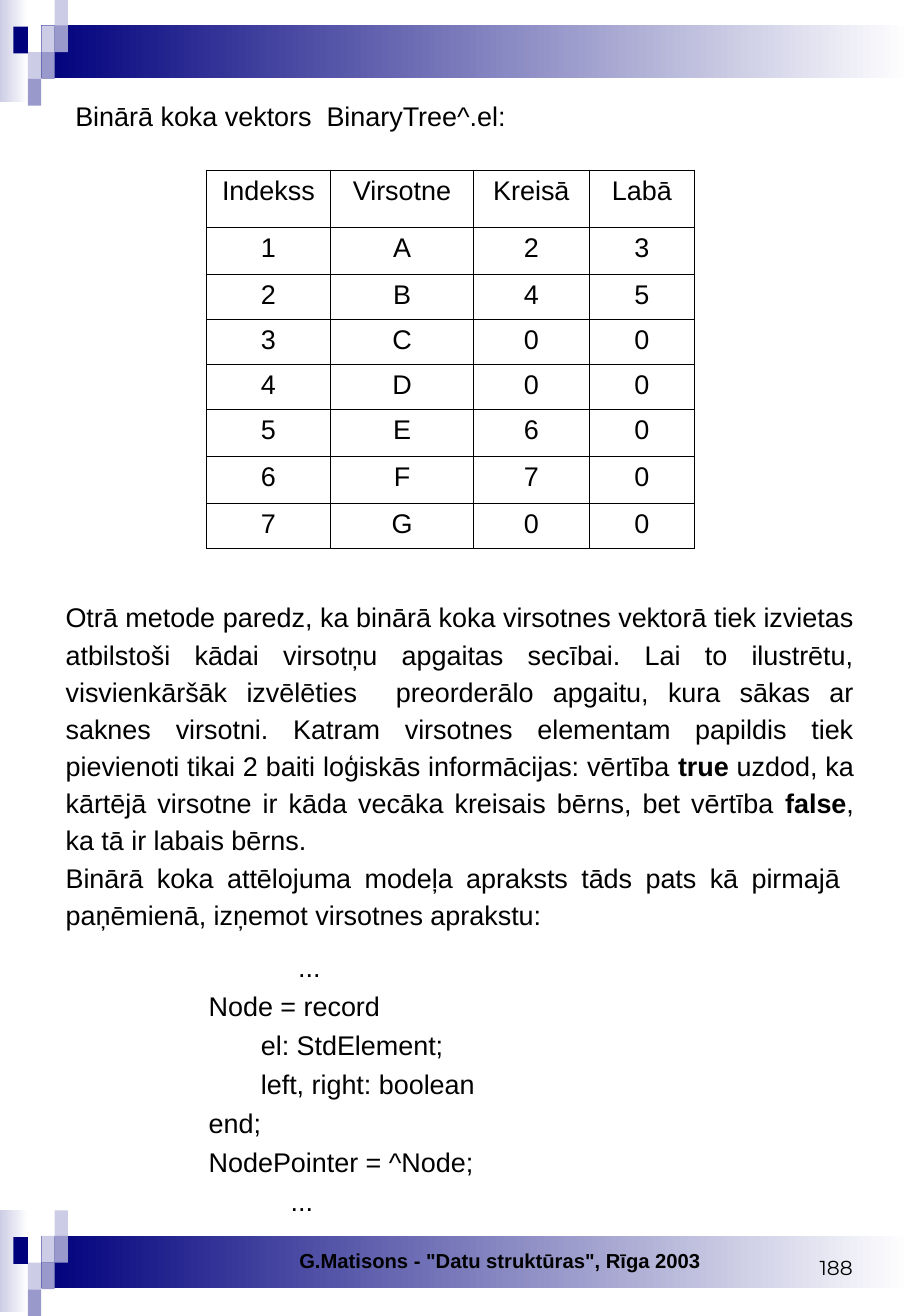
import pptx
import pptx.dml.color
import pptx.enum.shapes
import pptx.enum.text
import pptx.oxml
import pptx.oxml.ns
import pptx.util
from lxml import etree

Inches, Pt = pptx.util.Inches, pptx.util.Pt
RGBColor = pptx.dml.color.RGBColor
ALIGN = pptx.enum.text.PP_ALIGN
ANCHOR = pptx.enum.text.MSO_ANCHOR
qn = pptx.oxml.ns.qn

BLACK = RGBColor(0x00, 0x00, 0x00)
WHITE = RGBColor(0xFF, 0xFF, 0xFF)
NAVY = RGBColor(0x00, 0x00, 0x7D)
LILAC = RGBColor(0x99, 0x99, 0xCC)
PALE = RGBColor(0xCC, 0xCC, 0xE6)

HEADING = "Binārā koka vektors  BinaryTree^.el:"
METHOD = [
    [("Otrā metode paredz, ka binārā koka virsotnes vektorā tiek izvietas atbilstoši "
      "kādai virsotņu apgaitas secībai. Lai to ilustrētu, visvienkāršāk izvēlēties  "
      "preorderālo apgaitu, kura sākas ar saknes virsotni. Katram virsotnes elementam "
      "papildis tiek pievienoti tikai 2 baiti loģiskās informācijas: vērtība ", False),
     ("true", True),
     (" uzdod, ka kārtējā virsotne ir kāda vecāka kreisais bērns, bet vērtība ", False),
     ("false", True),
     (", ka tā ir labais bērns.", False)],
    "Binārā koka attēlojuma modeļa apraksts tāds pats kā pirmajā  paņēmienā, "
    "izņemot virsotnes aprakstu:",
]
CODE = [
    "            ...",
    "Node = record",
    "       el: StdElement;",
    "       left, right: boolean",
    "end;",
    "NodePointer = ^Node;",
    "           ...",
]
TREE = [("Indekss", "Virsotne", "Kreisā", "Labā"),
        (1, "A", 2, 3), (2, "B", 4, 5), (3, "C", 0, 0), (4, "D", 0, 0),
        (5, "E", 6, 0), (6, "F", 7, 0), (7, "G", 0, 0)]
COLUMNS = [1.02, 1.18, 0.95, 0.87]
ROWS = [0.47, 0.39, 0.37, 0.37, 0.37, 0.39, 0.39, 0.37]

# Left, top, width, height, colour; a wide bar fades to white
BAND = [(0, 0, 0.23, 0.84, PALE, True), (0.34, 0.21, 7.16, 0.43, NAVY, True),
        (0.34, 0.21, 0.11, 0.22, PALE, False), (0.45, 0, 0.11, 0.22, PALE, False),
        (0.45, 0.21, 0.11, 0.22, LILAC, False), (0.23, 0.43, 0.11, 0.22, PALE, False),
        (0.11, 0.22, 0.12, 0.22, NAVY, False), (0.34, 0.43, 0.11, 0.22, LILAC, False),
        (0.23, 0.65, 0.11, 0.22, LILAC, False)]


def write(tf, paragraphs, size=16, font="Arial", bold=False, align=ALIGN.LEFT,
          gap=0, spacing=None, anchor=ANCHOR.TOP):
    """Fill a text frame; a paragraph is a string or a list of (text, bold)."""
    tf.word_wrap = True
    tf.auto_size = pptx.enum.text.MSO_AUTO_SIZE.NONE
    tf.vertical_anchor = anchor
    for i, runs in enumerate(paragraphs):
        p = tf.add_paragraph() if i else tf.paragraphs[0]
        pPr = p._p.get_or_add_pPr()
        pPr.set("marL", "0")
        pPr.set("indent", "0")
        etree.SubElement(pPr, qn("a:buNone"))
        p.alignment = align
        p.space_before = Pt(gap if i else 0)
        p.line_spacing = spacing
        for text, strong in [(runs, bold)] if isinstance(runs, str) else runs:
            r = p.add_run()
            r.text = text
            r.font.size, r.font.name, r.font.bold = Pt(size), font, strong
            r.font.color.rgb = BLACK


class Page:
    def __init__(self, prs):
        self.s = prs.slides.add_slide(prs.slide_layouts[1])

    def placeholder(self, idx, left, top, width, height, paragraphs, **style):
        sp = self.s.placeholders[idx]
        sp.left, sp.top = Inches(left), Inches(top)
        sp.width, sp.height = Inches(width), Inches(height)
        write(sp.text_frame, paragraphs, **style)

    def text(self, left, top, width, height, paragraphs, **style):
        sp = self.s.shapes.add_textbox(Inches(left), Inches(top), Inches(width), Inches(height))
        write(sp.text_frame, paragraphs, **style)

    def block(self, left, top, width, height, color, fades):
        sp = self.s.shapes.add_shape(pptx.enum.shapes.MSO_SHAPE.RECTANGLE, Inches(left),
                                     Inches(top), Inches(width), Inches(height))
        sp.shadow.inherit = False
        sp.line.fill.background()
        if fades:
            sp.fill.gradient()
            sp.fill.gradient_angle = 180
            for stop, position, shade in zip(sp.fill.gradient_stops, (0, 1), (WHITE, color)):
                stop.position, stop.color.rgb = position, shade
        else:
            sp.fill.solid()
            sp.fill.fore_color.rgb = color

    def band(self, top):
        for left, offset, width, height, color, fades in BAND:
            self.block(left, top + offset, width, height, color, fades)

    def table(self, left, top, columns, rows, values):
        table = self.s.shapes.add_table(len(rows), len(columns), Inches(left), Inches(top),
                                        Inches(sum(columns)), Inches(sum(rows))).table
        table.first_row = table.horz_banding = False
        for column, width in zip(table.columns, columns):
            column.width = Inches(width)
        for row, height, line in zip(table.rows, rows, values):
            row.height = Inches(height)
            for cell, value in zip(row.cells, line):
                write(cell.text_frame, [str(value)], align=ALIGN.CENTER)
                self.borders(cell)
                cell.fill.background()

    def borders(self, cell):
        tcPr = cell._tc.get_or_add_tcPr()
        for side in ("lnL", "lnR", "lnT", "lnB"):
            ln = etree.SubElement(tcPr, qn("a:" + side), w=str(Pt(0.45)))
            fill = etree.SubElement(ln, qn("a:solidFill"))
            etree.SubElement(fill, qn("a:srgbClr"), val=str(BLACK))


def main():
    prs = pptx.Presentation()
    prs.slide_width, prs.slide_height = Inches(7.5), Inches(10.84)
    page = Page(prs)
    for top in (9.97, 0):
        page.band(top)
    page.placeholder(0, 0.52, 0.77, 6.38, 0.37, [HEADING])
    page.table(1.7, 1.4, COLUMNS, ROWS, TREE)
    page.placeholder(1, 0.44, 4.86, 6.69, 2.86, METHOD, align=ALIGN.JUSTIFY, spacing=1.15)
    page.text(1.62, 7.78, 4.33, 2.3, CODE, gap=4)
    page.text(0.91, 10.22, 4.96, 0.31, ['G.Matisons - "Datu struktūras", Rīga 2003'],
              size=12, bold=True, align=ALIGN.RIGHT, anchor=ANCHOR.BOTTOM)
    page.text(5.95, 10.22, 1.17, 0.37, ["188"], size=12, font="Montserrat",
              align=ALIGN.RIGHT, anchor=ANCHOR.BOTTOM)
    prs.save("out.pptx")


if __name__ == "__main__":
    main()
